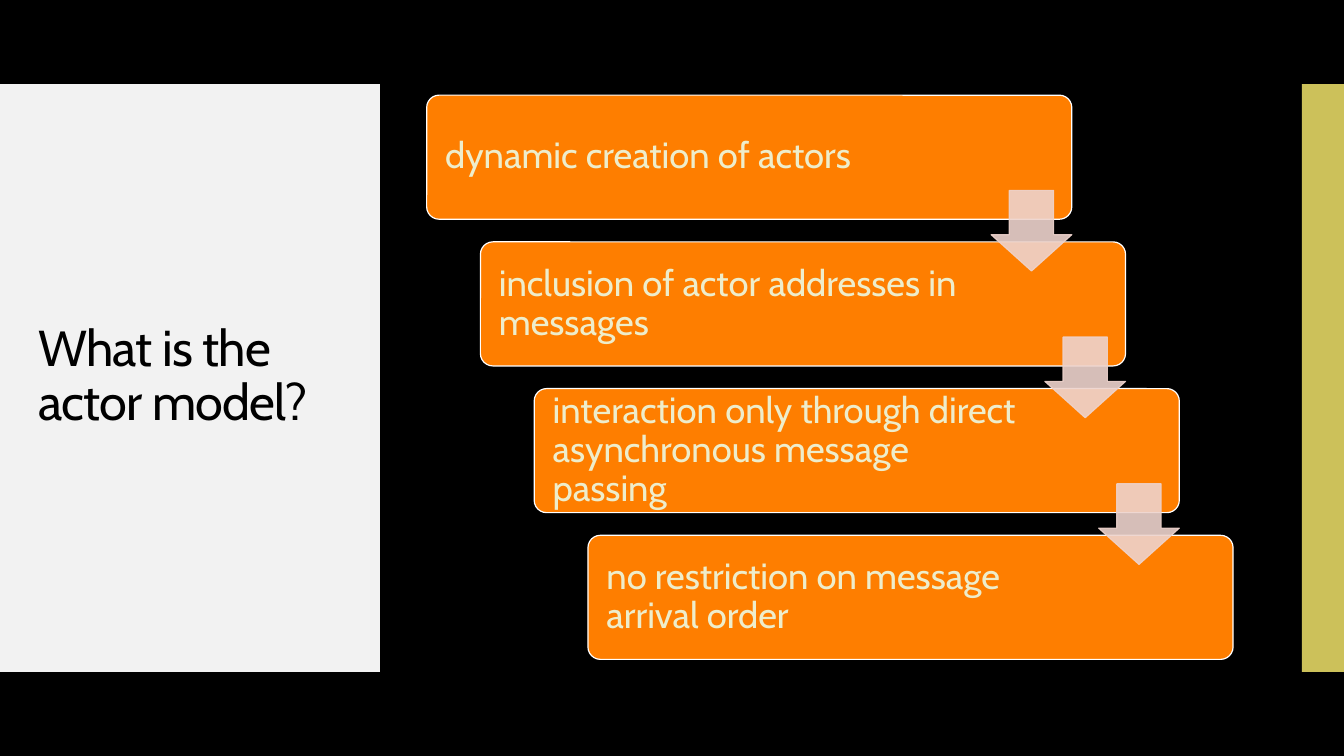
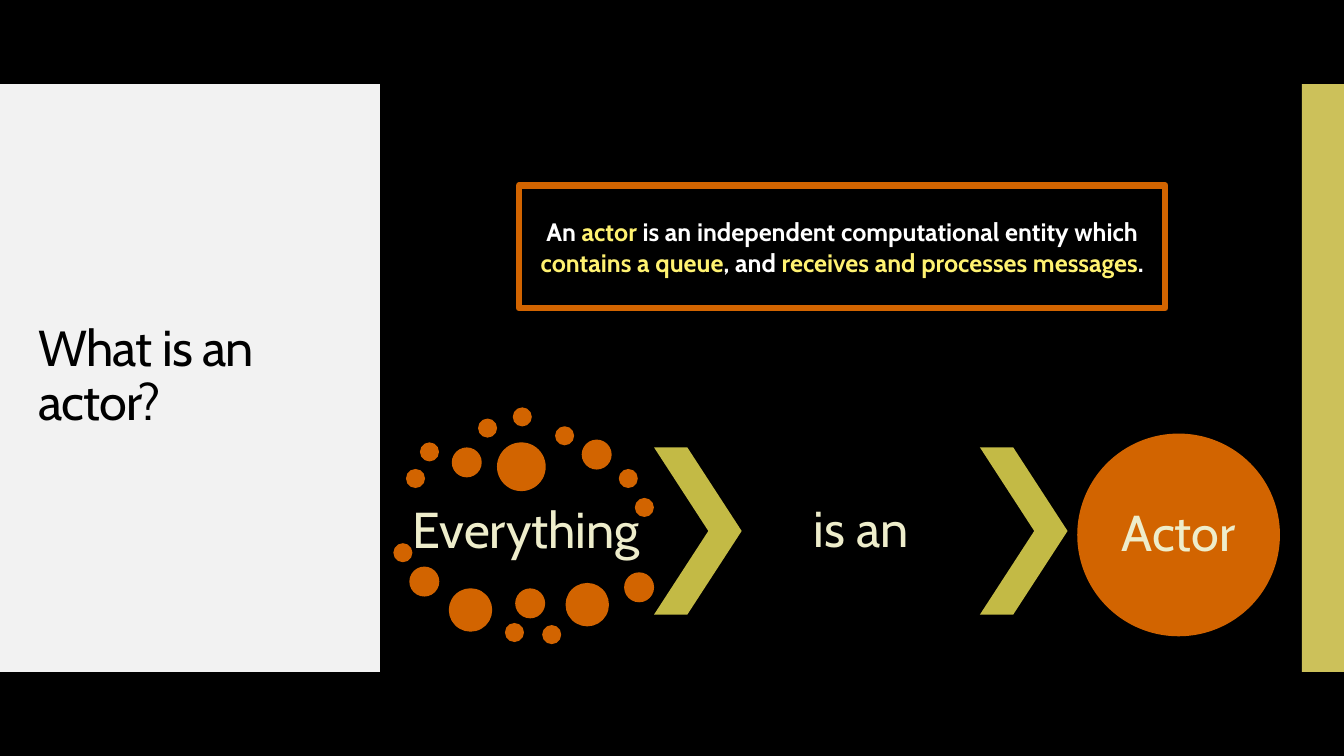
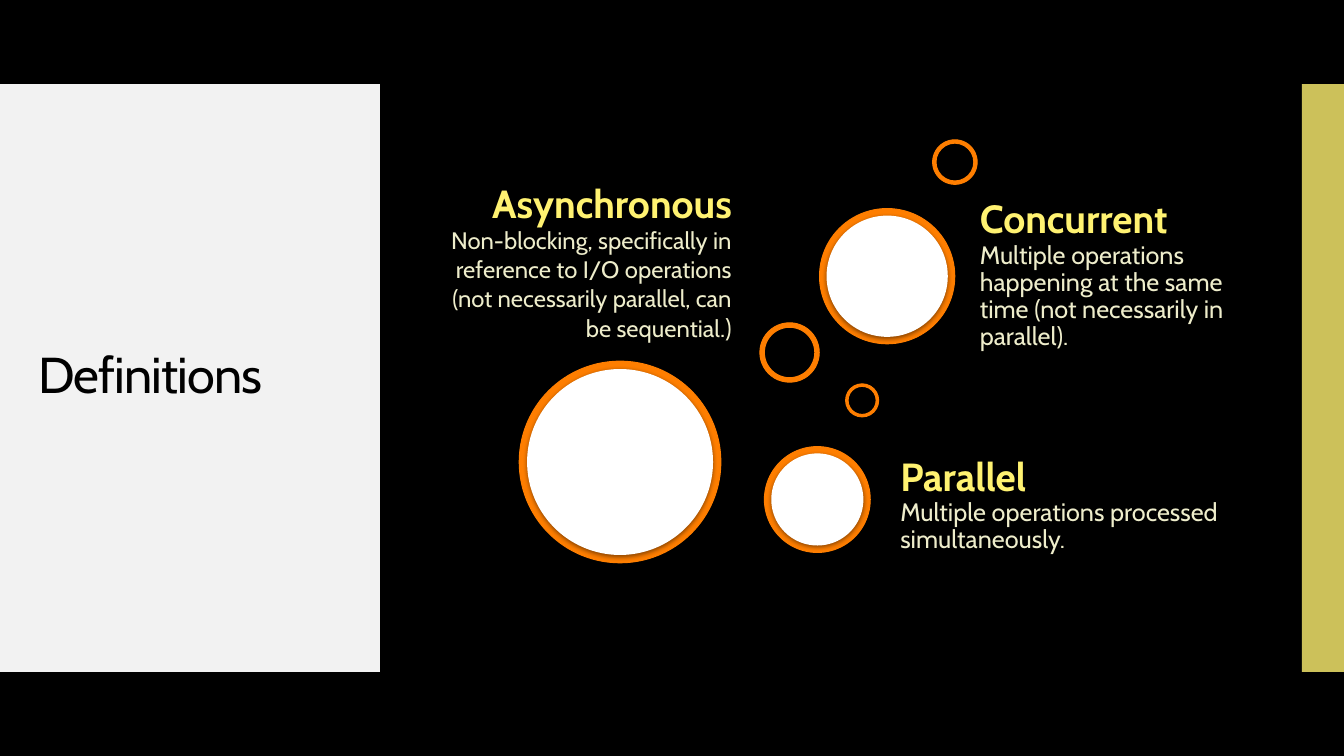
from dataclasses import dataclass
from typing import Optional

from lxml import etree
from pptx import Presentation
from pptx.dml.color import RGBColor
from pptx.enum.shapes import MSO_SHAPE
from pptx.enum.text import MSO_ANCHOR, MSO_AUTO_SIZE, PP_ALIGN
from pptx.oxml.ns import qn
from pptx.util import Pt

RECT, ROUNDED = MSO_SHAPE.RECTANGLE, MSO_SHAPE.ROUNDED_RECTANGLE
OVAL, DONUT = MSO_SHAPE.OVAL, MSO_SHAPE.DONUT
CHEVRON, DOWN_ARROW = MSO_SHAPE.CHEVRON, MSO_SHAPE.DOWN_ARROW
LEFT, CENTER, RIGHT = PP_ALIGN.LEFT, PP_ALIGN.CENTER, PP_ALIGN.RIGHT
MIDDLE, NO_FIT = MSO_ANCHOR.MIDDLE, MSO_AUTO_SIZE.NONE

FONT = "Cabin"
BLACK, WHITE = "000000", "FFFFFF"
CREAM, YELLOW, OLIVE = "EEEDCB", "FFF271", "C3BA45"
ORANGE, RUST, PINK = "FE7E00", "D26400", "EED3CC"
TITLE_ONLY = 5


@dataclass(frozen=True)
class Box:
    x: float
    y: float
    w: float
    h: float

    def inset(self, d: float) -> "Box":
        return Box(self.x + d, self.y + d, self.w - 2 * d, self.h - 2 * d)

    def emu(self) -> tuple:
        return Pt(self.x), Pt(self.y), Pt(self.w), Pt(self.h)


@dataclass(frozen=True)
class Span:
    text: str
    color: str
    size: float
    bold: bool = False


@dataclass(frozen=True)
class Definition:
    term: str
    body: tuple[Span, ...]
    box: Box
    align: PP_ALIGN = LEFT
    spacing: float = 0.9
    bottom: float = 2.9


def square(x: float, y: float, side: float) -> Box:
    return Box(x, y, side, side)


def rgb(color: str) -> RGBColor:
    return RGBColor.from_string(color)


def draw(s, kind, box: Box, fill: str, line: Optional[str] = None,
         width: float = 0.75, adj: tuple = (), alpha: int = 100):
    """Add a flat preset shape; alpha (percent) applies to fill and line."""
    sp = s.shapes.add_shape(kind, *box.emu())
    sp.shadow.inherit = False
    sp.fill.solid()
    sp.fill.fore_color.rgb = rgb(fill)
    if line:
        sp.line.color.rgb = rgb(line)
        sp.line.width = Pt(width)
    else:
        sp.line.fill.background()
    for i, value in enumerate(adj):
        sp.adjustments[i] = value
    if alpha < 100:
        for clr in sp.element.spPr.iter(qn("a:srgbClr")):
            etree.SubElement(clr, qn("a:alpha"), val=str(alpha * 1000))
    return sp


def add_soft_shadow(sp) -> None:
    effects = sp.element.spPr.find(qn("a:effectLst"))
    shadow = etree.SubElement(
        effects, qn("a:outerShdw"), blurRad=str(Pt(3.5)), dist=str(Pt(1.1)),
        dir="5400000", algn="ctr", rotWithShape="0")
    clr = etree.SubElement(shadow, qn("a:srgbClr"), val=BLACK)
    etree.SubElement(clr, qn("a:alpha"), val="45000")


def setup_frame(tf, insets: tuple) -> None:
    """Wrap and centre vertically; insets are left, top, right, bottom."""
    tf.word_wrap = True
    tf.auto_size = NO_FIT
    tf.vertical_anchor = MIDDLE
    (tf.margin_left, tf.margin_top,
     tf.margin_right, tf.margin_bottom) = map(Pt, insets)


def write(tf, spans: tuple[Span, ...], align: PP_ALIGN = LEFT,
          spacing: float = 0.9, insets: tuple = (0, 0, 0, 0)) -> None:
    """Fill one paragraph; a span ending in a newline ends its line."""
    setup_frame(tf, insets)
    p = tf.paragraphs[0]
    p.alignment = align
    p.line_spacing = spacing
    p.font.name = FONT
    for span in spans:
        r = p.add_run()
        r.text = span.text.rstrip("\n")
        r.font.name = FONT
        r.font.size = Pt(span.size)
        r.font.bold = span.bold
        r.font.color.rgb = rgb(span.color)
        if span.text.endswith("\n"):
            p.add_line_break()


def text_box(s, box: Box, spans: tuple[Span, ...], **style) -> None:
    write(s.shapes.add_textbox(*box.emu()).text_frame, spans, **style)


def style_layout(prs) -> None:
    """Put the background and the two side bands on the title-only layout."""
    layout = prs.slide_layouts[TITLE_ONLY]
    layout.background.fill.solid()
    layout.background.fill.fore_color.rgb = rgb(BLACK)
    s = prs.slides[0]
    bands = (
        draw(s, RECT, Box(0, 60, 271.4, 420), WHITE, alpha=95),
        draw(s, RECT, Box(930, 60, 30, 420), YELLOW, alpha=80),
    )
    for i, band in enumerate(bands):
        layout.shapes.element.insert(2 + i, band.element)


def add_slide(prs, title: str):
    s = prs.slides.add_slide(prs.slide_layouts[TITLE_ONLY])
    sp = s.shapes.title
    sp.left, sp.top, sp.width, sp.height = Box(20, 88.6, 232, 362).emu()
    write(sp.text_frame, (Span(title, BLACK, 36),),
          insets=(7.2, 3.6, 7.2, 3.6))
    for r in sp.text_frame.paragraphs[0].runs:
        r.font._element.set("spc", "-60")
    return s


def build_model(s) -> None:
    steps = (
        "dynamic creation of actors",
        "inclusion of actor addresses in messages",
        "interaction only through direct asynchronous message passing",
        "no restriction on message arrival order",
    )
    step_x, step_y, arrow = 38.4, 104.8, 57.6
    cards = [Box(304.8 + i * step_x, 68 + i * step_y, 460.8, 88.6)
             for i in range(len(steps))]
    for card, step in zip(cards, steps):
        sp = draw(s, ROUNDED, card, ORANGE, WHITE, 0.85, (0.1,))
        write(sp.text_frame, (Span(step, CREAM, 26),),
              insets=(10.6, 7.9, 107, 7.9))
    for card in cards[:-1]:
        draw(s, DOWN_ARROW,
             square(card.x + card.w - arrow, card.y + 68, arrow),
             PINK, PINK, 0.85, (0.55, 0.45), 90)


def build_actor(s) -> None:
    dots = {
        13.6: ((290, 335), (300, 316), (341.5, 299), (366.3, 291),
               (396.5, 304.5), (442, 335), (453.5, 355.7), (281, 388),
               (360.7, 445), (387.3, 446.5)),
        21.4: ((322.7, 319.6), (415.5, 314), (292.4, 404.7),
               (368, 420.3), (445.8, 408.8)),
        31: ((320.6, 420.2), (404, 416.4)),
        34.8: ((355, 316),),
    }
    text_box(s, Box(290.9, 352, 170, 56), (Span("Everything", CREAM, 36),),
             align=CENTER)
    for diameter, corners in dots.items():
        for x, y in corners:
            draw(s, OVAL, square(x, y, diameter), RUST)
    for x in (467.2, 700):
        draw(s, CHEVRON, Box(x, 319.6, 62.6, 119.4), OLIVE, adj=(0.62,))
    text_box(s, Box(529.8, 319.6, 170.4, 119.4), (Span("is an", CREAM, 36),),
             align=CENTER)
    sp = draw(s, OVAL, square(769.5, 309.7, 144.8), RUST)
    write(sp.text_frame, (Span("Actor", CREAM, 36),), CENTER)

    sentence = (
        ("An ", WHITE),
        ("actor ", YELLOW),
        ("is an independent computational entity which ", WHITE),
        ("contains a queue", YELLOW),
        (", and ", WHITE),
        ("receives and processes messages", YELLOW),
        (".", WHITE),
    )
    sp = draw(s, RECT, Box(370.8, 132.4, 461.6, 87.8), BLACK, RUST, 4.5)
    write(sp.text_frame,
          tuple(Span(text, color, 18, True) for text, color in sentence),
          CENTER, 1.0, (7.2, 3.6, 7.2, 3.6))


def build_definitions(s) -> None:
    discs = (
        (square(370.9, 258, 144), 5.6),
        (square(546, 319, 75.6), 4.9),
        (square(585.4, 149, 96.6), 5),
    )
    rings = (square(542.8, 230.6, 42.4), square(666.2, 99.9, 31.8),
             square(604, 274.2, 23.6))
    for disc, rim in discs:
        add_soft_shadow(draw(s, OVAL, disc, ORANGE, ORANGE))
        add_soft_shadow(draw(s, OVAL, disc.inset(rim), WHITE))
    for ring in rings:
        add_soft_shadow(draw(s, DONUT, ring, ORANGE, ORANGE, adj=(0.075,)))

    definitions = (
        Definition(
            "Asynchronous",
            (Span("Non-blocking, specifically in reference to I/O operations "
                  "(not necessarily parallel, can be sequential", CREAM, 17),
             Span(".)", CREAM, 18)),
            Box(304.6, 103.7, 221, 162), RIGHT, 1.0, 0),
        Definition(
            "Parallel",
            (Span("Multiple operations processed simultaneously.",
                  CREAM, 18),),
            Box(640.2, 323.4, 245.4, 75.6)),
        Definition(
            "Concurrent",
            (Span("Multiple operations happening at the same time "
                  "(not necessarily in parallel).", CREAM, 18),),
            Box(697, 136.8, 193, 120.2)),
    )
    for d in definitions:
        heading = Span(d.term + "\n", YELLOW, 28, True)
        text_box(s, d.box, (heading, *d.body), align=d.align,
                 spacing=d.spacing, insets=(2.9, 2.9, 2.9, d.bottom))


def main() -> None:
    prs = Presentation()
    prs.slide_width, prs.slide_height = Pt(960), Pt(540)
    pages = (
        ("What is the actor model?", build_model),
        ("What is an actor?", build_actor),
        ("Definitions", build_definitions),
    )
    for title, build in pages:
        build(add_slide(prs, title))
    style_layout(prs)
    prs.save("out.pptx")


if __name__ == "__main__":
    main()
